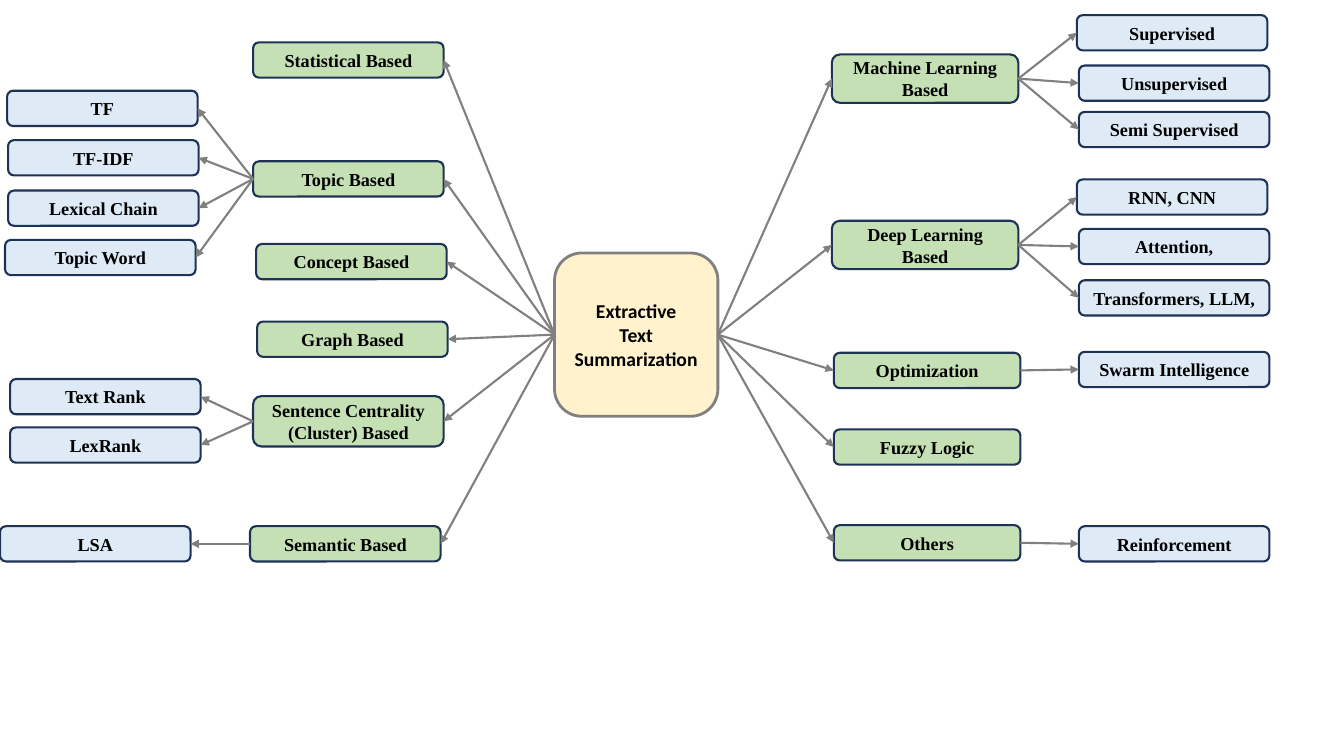
from pptx import Presentation
from pptx.dml.color import RGBColor
from pptx.enum.shapes import MSO_CONNECTOR, MSO_SHAPE
from pptx.enum.text import MSO_ANCHOR, PP_ALIGN
from pptx.oxml.ns import qn
from pptx.util import Inches, Pt
from lxml import etree

GREEN = RGBColor(0xC5, 0xE0, 0xB4)
BLUE = RGBColor(0xDE, 0xEB, 0xF7)
CREAM = RGBColor(0xFF, 0xF2, 0xCC)
NAVY = RGBColor(0x1E, 0x32, 0x56)
GRAY = RGBColor(0x80, 0x80, 0x80)
BLACK = RGBColor(0, 0, 0)

LEFT_SITE, RIGHT_SITE = 1, 3  # connection sites of a rounded rectangle
LEAF_WIDTH, ROW_HEIGHT = 1.89, 0.35

# Each method: name, (left, top, height), leaves as (name, left, top)
LEFT_METHODS = [
    ("Statistical Based", (2.51, 0.42, ROW_HEIGHT), []),
    ("Topic Based", (2.51, 1.6, ROW_HEIGHT), [
        ("TF", 0.07, 0.9),
        ("TF-IDF", 0.08, 1.39),
        ("Lexical Chain", 0.08, 1.89),
        ("Topic Word", 0.05, 2.38),
    ]),
    ("Concept Based", (2.54, 2.42, ROW_HEIGHT), []),
    ("Graph Based", (2.55, 3.19, ROW_HEIGHT), []),
    ("Sentence Centrality (Cluster) Based", (2.51, 3.93, 0.5), [
        ("Text Rank", 0.1, 3.76),
        ("LexRank", 0.1, 4.24),
    ]),
    ("Semantic Based", (2.48, 5.22, ROW_HEIGHT), [("LSA", 0, 5.22)]),
]
RIGHT_METHODS = [
    ("Machine Learning Based", (8.25, 0.54, 0.48), [
        ("Supervised", 10.68, 0.15),
        ("Unsupervised", 10.7, 0.65),
        ("Semi Supervised", 10.7, 1.11),
    ]),
    ("Deep Learning Based", (8.25, 2.19, 0.48), [
        ("RNN, CNN", 10.68, 1.78),
        ("Attention,", 10.7, 2.27),
        ("Transformers, LLM,", 10.7, 2.78),
    ]),
    ("Optimization", (8.27, 3.5, ROW_HEIGHT), [("Swarm Intelligence", 10.7, 3.49)]),
    ("Fuzzy Logic", (8.27, 4.26, ROW_HEIGHT), []),
    ("Others", (8.27, 5.21, ROW_HEIGHT), [("Reinforcement", 10.7, 5.22)]),
]


def add_node(slide, lines, box, fill, outline=NAVY, weight=1.5,
             font="Times New Roman", size=13):
    """Rounded box with centred bold text, one paragraph per line."""
    node = slide.shapes.add_shape(MSO_SHAPE.ROUNDED_RECTANGLE, *map(Inches, box))
    node.shadow.inherit = False
    node.fill.solid()
    node.fill.fore_color.rgb = fill
    node.line.color.rgb = outline
    node.line.width = Pt(weight)
    frame = node.text_frame
    frame.word_wrap = True
    frame.vertical_anchor = MSO_ANCHOR.MIDDLE
    frame.text = "\n".join(lines)
    for paragraph in frame.paragraphs:
        paragraph.alignment = PP_ALIGN.CENTER
        paragraph.font.name = font
        paragraph.font.size = Pt(size)
        paragraph.font.bold = True
        paragraph.font.color.rgb = BLACK
    return node


def add_arrow(slide, parent, parent_site, child, child_site):
    """Gray arrow glued to the facing sides of two nodes."""
    arrow = slide.shapes.add_connector(MSO_CONNECTOR.STRAIGHT, 0, 0, 0, 0)
    arrow.begin_connect(parent, parent_site)
    arrow.end_connect(child, child_site)
    arrow.line.color.rgb = GRAY
    arrow.line.width = Pt(1.5)
    properties = arrow.element.spPr
    etree.SubElement(properties.find(qn("a:ln")), qn("a:tailEnd"), type="triangle")
    etree.SubElement(properties, qn("a:effectLst"))


def add_branch(slide, root, methods, method_width, out_site, in_site):
    """One side of the map: methods next to the root, leaves beyond them."""
    for name, (left, top, height), leaves in methods:
        method = add_node(slide, [name], (left, top, method_width, height), GREEN)
        add_arrow(slide, root, out_site, method, in_site)
        for leaf_name, leaf_left, leaf_top in leaves:
            leaf = add_node(slide, [leaf_name],
                            (leaf_left, leaf_top, LEAF_WIDTH, ROW_HEIGHT), BLUE)
            add_arrow(slide, method, out_site, leaf, in_site)


def main():
    deck = Presentation()
    deck.slide_width, deck.slide_height = Inches(13.33), Inches(7.5)
    slide = deck.slides.add_slide(deck.slide_layouts[6])

    # Central topic
    root = add_node(slide, ["Extractive", "Text Summarization"],
                    (5.5, 2.51, 1.62, 1.62), CREAM, GRAY, 2, "Calibri", 14)

    # Branches on both sides
    add_branch(slide, root, LEFT_METHODS, 1.89, LEFT_SITE, RIGHT_SITE)
    add_branch(slide, root, RIGHT_METHODS, 1.85, RIGHT_SITE, LEFT_SITE)

    deck.save("out.pptx")


if __name__ == "__main__":
    main()
